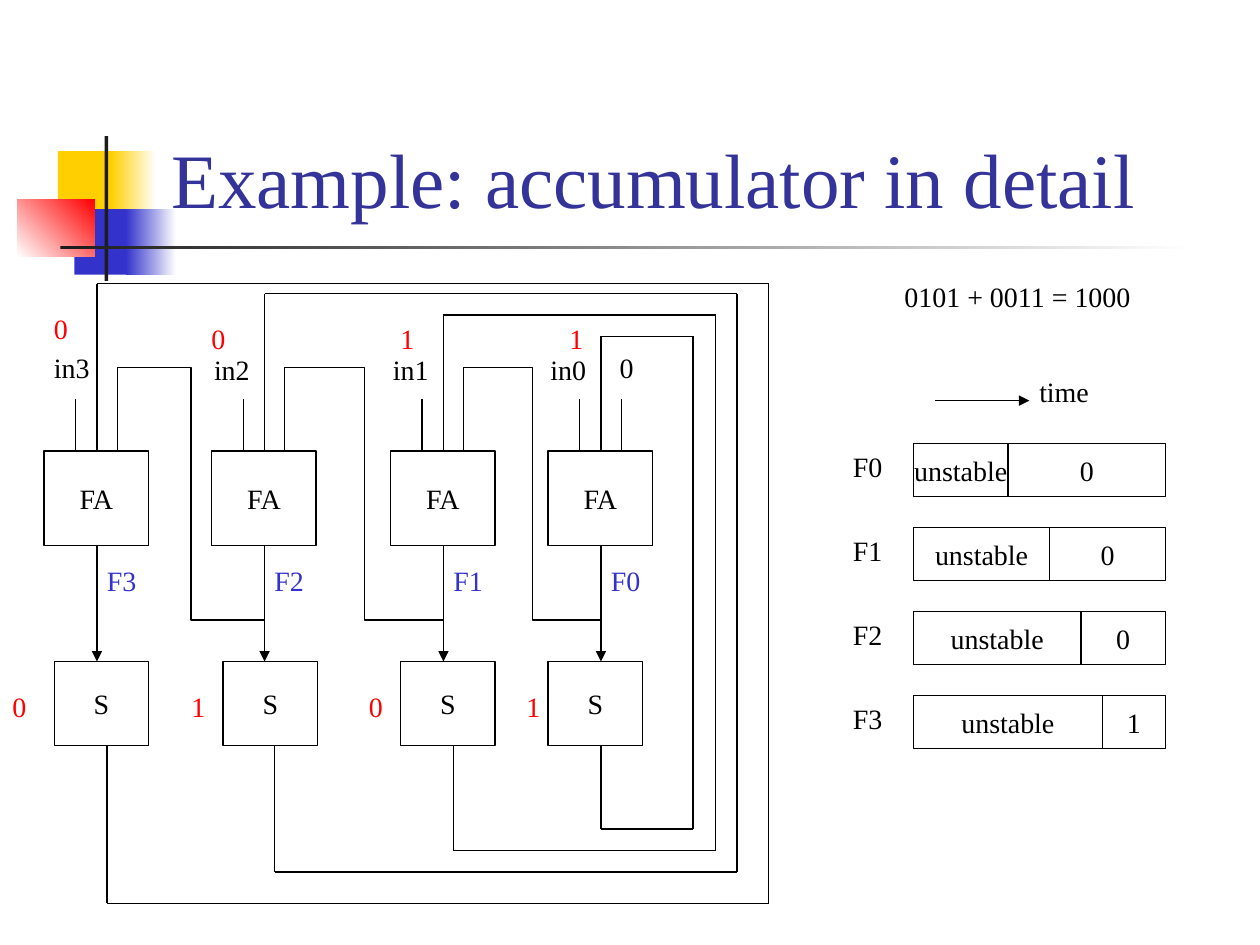
import itertools
from dataclasses import dataclass

import pptx
import pptx.dml.color
import pptx.enum.shapes
import pptx.enum.text
import pptx.oxml
import pptx.oxml.ns
import pptx.util

Inches = pptx.util.Inches
qn = pptx.oxml.ns.qn
ANCHOR = pptx.enum.text.MSO_ANCHOR
ALIGN = pptx.enum.text.PP_ALIGN
CONNECTOR = pptx.enum.shapes.MSO_CONNECTOR
RECTANGLE = pptx.enum.shapes.MSO_SHAPE.RECTANGLE


@dataclass(frozen=True)
class Theme:
    font: str = "Times New Roman"
    title_size: int = 44
    body_size: int = 16
    line_width: float = 0.75
    title: str = "333399"
    ink: str = "000000"
    bit: str = "FF0000"
    blue: str = "3333CC"
    yellow: str = "FFCF01"
    dark: str = "1C1C1C"
    paper: str = "FFFFFF"


def rgb(value):
    return pptx.dml.color.RGBColor.from_string(value)


def sub(parent, tag, **attributes):
    """Append a child element with the given attributes."""
    child = parent.makeelement(qn(tag), attributes)
    parent.append(child)
    return child


class Drawing:
    def __init__(self, slide, theme):
        self.s = slide
        self.theme = theme

    def add_text(self, tf, text, color=None, size=None):
        p = tf.paragraphs[0]
        r = p.add_run()
        r.text = text
        r.font.name = self.theme.font
        r.font.size = pptx.util.Pt(size or self.theme.body_size)
        r.font.color.rgb = rgb(color or self.theme.ink)
        return p

    def title(self, text, x, y, w, h):
        sp = self.s.shapes.add_textbox(*map(Inches, (x, y, w, h)))
        tf = sp.text_frame
        tf.word_wrap = True
        tf.vertical_anchor = ANCHOR.BOTTOM
        self.add_text(tf, text, self.theme.title, self.theme.title_size)

    def label(self, text, x, y, w=0.44, color=None):
        sp = self.s.shapes.add_textbox(*map(Inches, (x, y, w, 0.37)))
        tf = sp.text_frame
        tf.word_wrap = False
        tf.auto_size = pptx.enum.text.MSO_AUTO_SIZE.SHAPE_TO_FIT_TEXT
        self.add_text(tf, text, color)

    def block(self, x, y, w, h, *colors, angle=0):
        """Filled rectangle; two colours make a gradient."""
        sp = self.s.shapes.add_shape(RECTANGLE, *map(Inches, (x, y, w, h)))
        sp.shadow.inherit = False
        sp.line.fill.background()
        if len(colors) == 1:
            sp.fill.solid()
            sp.fill.fore_color.rgb = rgb(colors[0])
        else:
            sp.fill.gradient()
            sp.fill.gradient_angle = angle
            for stop, color in zip(sp.fill.gradient_stops, colors):
                stop.color.rgb = rgb(color)

    def box(self, text, x, y, w, h):
        sp = self.s.shapes.add_shape(RECTANGLE, *map(Inches, (x, y, w, h)))
        sp.shadow.inherit = False
        sp.fill.background()
        self.outline(sp.line)
        tf = sp.text_frame
        tf.word_wrap = False
        tf.vertical_anchor = ANCHOR.MIDDLE
        self.add_text(tf, text).alignment = ALIGN.CENTER

    def outline(self, line):
        line.color.rgb = rgb(self.theme.ink)
        line.width = pptx.util.Pt(self.theme.line_width)

    def connector(self, kind, start, end):
        c = self.s.shapes.add_connector(kind, *map(Inches, (*start, *end)))
        self.outline(c.line)
        sub(c._element.spPr, "a:effectLst")
        return c

    def wire(self, *points):
        for start, end in itertools.pairwise(points):
            self.connector(CONNECTOR.STRAIGHT, start, end)

    def arrow(self, start, end):
        c = self.connector(CONNECTOR.STRAIGHT, start, end)
        sub(c._element.spPr.find(qn("a:ln")), "a:tailEnd", type="triangle")

    def carry(self, start, end):
        """Five-part elbow that leaves downwards and enters from above."""
        (x1, y1), (x2, y2) = start, end
        length, drop = y1 - y2, x1 - x2
        left, top = (x1 + x2 - length) / 2, (y1 + y2 - drop) / 2
        c = self.connector(CONNECTOR.ELBOW, (left, top), (left + length, top + drop))
        xfrm = c._element.spPr.find(qn("a:xfrm"))
        xfrm.set("rot", str(270 * 60000))
        xfrm.set("flipV", "1")
        geometry = c._element.spPr.find(qn("a:prstGeom"))
        geometry.set("prst", "bentConnector5")
        guides = geometry.find(qn("a:avLst"))
        for i, value in enumerate((-16667, 50000, 116667), 1):
            sub(guides, "a:gd", name=f"adj{i}", fmla=f"val {value}")


def draw_frame(d):
    t = d.theme
    d.block(0.46, 1.2, 0.48, 0.52, t.yellow)
    d.block(0.88, 1.2, 0.36, 0.52, t.yellow, t.paper)
    d.block(0.59, 1.66, 0.46, 0.52, t.blue)
    d.block(1, 1.66, 0.4, 0.52, t.blue, t.paper)
    d.block(0.14, 1.58, 0.61, 0.46, t.paper, t.bit, angle=45)
    d.block(0.83, 1.08, 0.03, 1.15, t.dark)
    d.block(0.48, 1.95, 9, 0.03, t.dark, t.paper)
    d.title("Example: accumulator in detail", 1.26, 0.23, 8.52, 1.6)


def draw_accumulator(d):
    t = d.theme
    pin, adder_top, adder_bottom, joint = 3.17, 3.58, 4.33, 4.67
    merge, state_top, state_bottom = 4.92, 5.25, 5.92
    # stage, axis, state left, state output, loop (right, top, bottom),
    # input label (x, y), input bit (value, x, y), state bit (value, x)
    stages = [
        (3, 0.77, 0.43, 0.85, (6.1, 2.25, 7.17), (0.33, 2.73), ("0", 0.33, 2.42), ("0", 0)),
        (2, 2.1, 1.77, 2.18, (5.85, 2.33, 6.92), (1.6, 2.75), ("0", 1.58, 2.5), ("1", 1.42)),
        (1, 3.52, 3.18, 3.6, (5.68, 2.5, 6.75), (3.02, 2.75), ("1", 3.08, 2.5), ("0", 2.83)),
        (0, 4.77, 4.35, 4.77, (5.5, 2.67, 6.58), (4.27, 2.75), ("1", 4.42, 2.5), ("1", 4.08)),
    ]
    for n, x, left, out, loop, name_at, (bit, bit_x, bit_y), (state, state_x) in stages:
        right, top, bottom = loop
        d.box("FA", x - 0.42, adder_top, 0.83, 0.75)
        d.box("S", left, state_top, 0.75, 0.67)
        for pin_x in (x - 0.17, x + 0.16):
            d.wire((pin_x, pin), (pin_x, adder_top))
        d.wire((out, state_bottom), (out, bottom), (right, bottom),
               (right, top), (x, top), (x, adder_top))
        d.wire((x, adder_bottom), (x, joint))
        d.arrow((x, joint if n == 3 else merge), (x, state_top))
        d.label(f"in{n}", *name_at, w=0.49)
        d.label(f"F{n}", x - 0.02, 4.42, color=t.blue)
        d.label(bit, bit_x, bit_y, 0.31, t.bit)
        d.label(state, state_x, 5.42, 0.31, t.bit)
    axes = [stage[1] for stage in stages]
    for x, source in itertools.pairwise(axes):
        d.carry((source, joint), (x + 0.16, pin))
    d.label("0", 4.82, 2.73, 0.31)


def draw_timing(d):
    d.label("0101 + 0011 = 1000", 7.08, 2.17, 2.01)
    d.arrow((7.42, 3.18), (8.17, 3.18))
    d.label("time", 8.15, 2.92, 0.6)
    left, right, height = 7.25, 9.25, 0.42
    settling = [(8, "0"), (8.33, "0"), (8.58, "0"), (8.75, "1")]
    for n, (settled, value) in enumerate(settling):
        y = 3.52 + n * 2 / 3
        d.label(f"F{n}", 6.67, y)
        d.box("unstable", left, y, settled - left, height)
        d.box(value, settled, y, right - settled, height)


def main():
    prs = pptx.Presentation()
    prs.slide_width, prs.slide_height = Inches(10), Inches(7.5)
    d = Drawing(prs.slides.add_slide(prs.slide_layouts[6]), Theme())
    draw_frame(d)
    draw_accumulator(d)
    draw_timing(d)
    prs.save("out.pptx")


if __name__ == "__main__":
    main()
